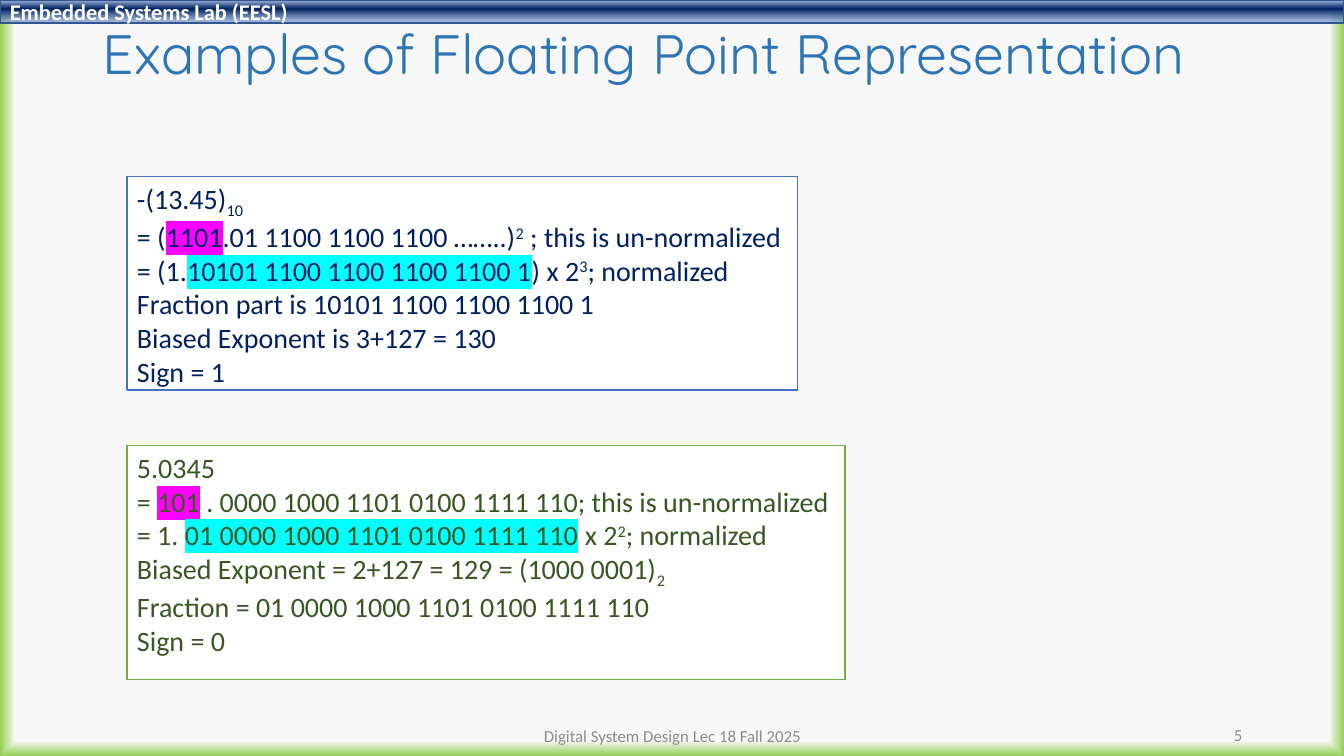
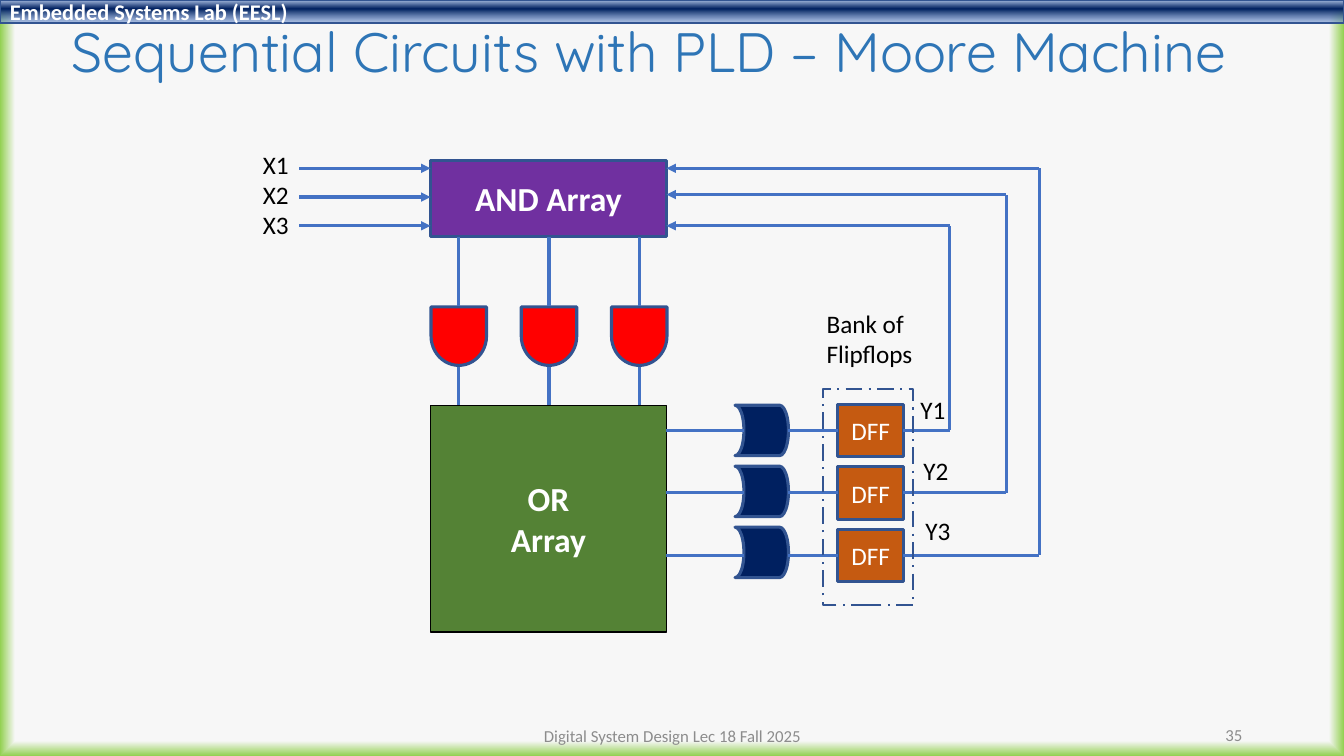
from dataclasses import dataclass
from typing import NamedTuple

from lxml import etree
from pptx import Presentation
from pptx.dml.color import RGBColor
from pptx.enum.dml import MSO_LINE
from pptx.enum.shapes import MSO_CONNECTOR, MSO_SHAPE
from pptx.enum.text import MSO_ANCHOR, MSO_AUTO_SIZE, PP_ALIGN
from pptx.oxml.ns import qn
from pptx.util import Inches, Pt

RECT = MSO_SHAPE.RECTANGLE
AND_GATE = MSO_SHAPE.FLOWCHART_DELAY
OR_GATE = MSO_SHAPE.FLOWCHART_STORED_DATA
STRAIGHT = MSO_CONNECTOR.STRAIGHT
DASH_DOT = MSO_LINE.LONG_DASH_DOT
LEFT, CENTER, RIGHT = PP_ALIGN.LEFT, PP_ALIGN.CENTER, PP_ALIGN.RIGHT
TOP, MIDDLE = MSO_ANCHOR.TOP, MSO_ANCHOR.MIDDLE


@dataclass(frozen=True)
class Theme:
    body_font: str = "Calibri"
    title_font: str = "Quicksand"
    title: str = "2E75B6"
    footer: str = "8C8C8C"
    white: str = "FFFFFF"
    black: str = "000000"
    navy: str = "002060"
    dark_green: str = "385723"
    blue: str = "4472C4"
    outline: str = "325491"
    green: str = "70AD47"
    purple: str = "7030A0"
    red: str = "FF0000"
    or_green: str = "548235"
    orange: str = "C55A11"
    magenta: str = "FF00FF"
    cyan: str = "00FFFF"
    title_size: float = 39.6
    block_size: float = 24
    example_size: float = 20
    label_size: float = 18
    header_size: float = 16
    footer_size: float = 12
    wire: float = 2.25
    bank: float = 1.5
    thin: float = 1


T = Theme()


class Box(NamedTuple):
    left: float
    top: float
    width: float
    height: float


class Stop(NamedTuple):
    pos: int
    color: str
    alpha: int = 100


class Span(NamedTuple):
    text: str
    base: int = 0
    mark: str = ""


class Style(NamedTuple):
    size: float
    color: str
    bold: bool = False
    font: str = T.body_font
    align: PP_ALIGN = LEFT
    anchor: MSO_ANCHOR = TOP


@dataclass(frozen=True)
class Example:
    box: Box
    color: str
    border: str
    lines: list[list[Span]]


@dataclass(frozen=True)
class Feedback:
    label: str
    label_left: float
    label_top: float
    turn_x: float
    entry_y: float


TITLE = Style(T.title_size, T.title, font=T.title_font, anchor=MIDDLE)
HEADER = Style(T.header_size, T.white, True, anchor=MIDDLE)
BLOCK = Style(T.block_size, T.white, True, align=CENTER, anchor=MIDDLE)
FLIPFLOP = Style(T.label_size, T.white, align=CENTER, anchor=MIDDLE)
LABEL = Style(T.label_size, T.black)
FOOTER = Style(T.footer_size, T.footer, align=CENTER, anchor=MIDDLE)
PAGE = FOOTER._replace(align=RIGHT)

EXAMPLES = [
    Example(Box(1.26, 1.75, 6.65, 2.12), T.navy, T.blue, [
        [Span("-(13.45)"), Span("10", -25)],
        [Span("= ("), Span("1101", mark=T.magenta), Span(".01 1100 1100 1100 ……..)"),
         Span("2", 30), Span(" ; this is un-normalized")],
        [Span("= (1."), Span("10101 1100 1100 1100 1100 1", mark=T.cyan),
         Span(") x 2"), Span("3", 30), Span("; normalized")],
        [Span("Fraction part is 10101 1100 1100 1100 1")],
        [Span("Biased Exponent is 3+127 = 130")],
        [Span("Sign = 1")],
    ]),
    Example(Box(1.26, 4.42, 7.12, 2.32), T.dark_green, T.green, [
        [Span("5.0345")],
        [Span("= "), Span("101", mark=T.magenta),
         Span(" . 0000 1000 1101 0100 1111 110; this is un-normalized")],
        [Span("= 1. "), Span("01 0000 1000 1101 0100 1111 110", mark=T.cyan),
         Span(" x 2"), Span("2", 30), Span("; normalized")],
        [Span("Biased Exponent = 2+127 = 129 = (1000 0001)"), Span("2", -25)],
        [Span("Fraction = 01 0000 1000 1101 0100 1111 110")],
        [Span("Sign = 0")],
    ]),
]

FEEDBACKS = [
    Feedback("Y1", 9.03, 3.86, 9.42, 2.24),
    Feedback("Y2", 9.06, 4.47, 9.98, 1.93),
    Feedback("Y3", 9.08, 5.06, 10.31, 1.67),
]


def rgb(color: str) -> RGBColor:
    return RGBColor.from_string(color)


def emu(box: Box) -> list:
    return [Inches(v) for v in box]


def add_color(parent, color: str, alpha: int = 100) -> None:
    clr = etree.SubElement(parent, qn("a:srgbClr"), val=color)
    if alpha < 100:
        etree.SubElement(clr, qn("a:alpha"), val=str(alpha * 1000))


def set_gradient(fill, owner, stops: list[Stop], angle: int | None = None) -> None:
    fill.gradient()
    grad = owner.find(".//" + qn("a:gradFill"))
    for child in list(grad):
        grad.remove(child)
    gs_list = etree.SubElement(grad, qn("a:gsLst"))
    for stop in stops:
        gs = etree.SubElement(gs_list, qn("a:gs"), pos=str(stop.pos * 1000))
        add_color(gs, stop.color, stop.alpha)
    if angle is None:
        shade = etree.SubElement(grad, qn("a:path"), path="shape")
        etree.SubElement(shade, qn("a:fillToRect"), dict.fromkeys("ltrb", "50000"))
    else:
        etree.SubElement(grad, qn("a:lin"), ang=str(angle * 60000), scaled="0")


def format_run(r, style: Style) -> None:
    r.font.size = Pt(style.size)
    r.font.bold = style.bold
    r.font.color.rgb = rgb(style.color)
    r.font.name = style.font


def format_text(tf, style: Style) -> None:
    tf.vertical_anchor = style.anchor
    for p in tf.paragraphs:
        p.alignment = style.align
        for r in p.runs:
            format_run(r, style)


def add_label(s, box: Box, text: str, style: Style, wrap: bool = True):
    sp = s.shapes.add_textbox(*emu(box))
    tf = sp.text_frame
    tf.text = text
    tf.word_wrap = wrap
    if not wrap:
        tf.auto_size = MSO_AUTO_SIZE.SHAPE_TO_FIT_TEXT
    format_text(tf, style)
    return sp


def add_block(s, box: Box, fill: str = "", text: str = "", style: Style = BLOCK,
              kind: MSO_SHAPE = RECT, rotation: float = 0,
              border: str = T.outline, width: float = T.wire):
    sp = s.shapes.add_shape(kind, *emu(box))
    sp.shadow.inherit = False
    sp.rotation = rotation
    if fill:
        sp.fill.solid()
        sp.fill.fore_color.rgb = rgb(fill)
    else:
        sp.fill.background()
    sp.line.color.rgb = rgb(border)
    sp.line.width = Pt(width)
    if text:
        sp.text_frame.text = text
        format_text(sp.text_frame, style)
    return sp


def add_wire(s, x1: float, y1: float, x2: float, y2: float, arrow: bool = False) -> None:
    cn = s.shapes.add_connector(STRAIGHT, Inches(x1), Inches(y1), Inches(x2), Inches(y2))
    cn.line.color.rgb = rgb(T.blue)
    cn.line.width = Pt(T.wire)
    if arrow:
        etree.SubElement(cn.element.find(".//" + qn("a:ln")), qn("a:tailEnd"), type="triangle")
    etree.SubElement(cn.element.spPr, qn("a:effectLst"))


def add_slide(prs, title: str, title_box: Box, number: int):
    s = prs.slides.add_slide(prs.slide_layouts[6])
    band = add_block(s, Box(0, 0, 13.33, 0.23), text="Embedded Systems Lab (EESL)",
                     style=HEADER, width=T.thin)
    set_gradient(band.fill, band.element,
                 [Stop(2, "ABC0E4"), Stop(38, T.navy), Stop(93, "7E9ED6", 64)], 90)
    heading = add_label(s, title_box, title, TITLE)
    heading.text_frame.paragraphs[0].line_spacing = 0.9
    add_label(s, Box(9.42, 7.09, 3, 0.4), str(number), PAGE)
    add_label(s, Box(4.42, 7.1, 4.5, 0.4), "Digital System Design Lec 18 Fall 2025", FOOTER)
    return s


def add_example(s, example: Example) -> None:
    style = Style(T.example_size, example.color)
    sp = add_label(s, example.box, "", style, wrap=False)
    sp.fill.solid()
    sp.fill.fore_color.rgb = rgb(T.white)
    sp.line.color.rgb = rgb(example.border)
    sp.line.width = Pt(T.thin)
    tf = sp.text_frame
    for i, line in enumerate(example.lines):
        p = tf.add_paragraph() if i else tf.paragraphs[0]
        for span in line:
            r = p.add_run()
            r.text = span.text
            format_run(r, style)
            props = r.font.fill and r._r.get_or_add_rPr()
            if span.base:
                props.set("baseline", str(span.base * 1000))
            if span.mark:
                mark = etree.Element(qn("a:highlight"))
                add_color(mark, span.mark)
                props.find(qn("a:solidFill")).addnext(mark)


def add_circuit(s) -> None:
    add_block(s, Box(4.27, 1.59, 2.34, 0.76), T.purple, "AND Array")
    add_block(s, Box(4.27, 4.02, 2.34, 2.25), T.or_green, "OR\nArray",
              border=T.black, width=T.thin)
    add_label(s, Box(2.51, 1.43, 0.46, 1.01), "X1\nX2\nX3", LABEL, wrap=False)
    for i, feedback in enumerate(FEEDBACKS):
        input_y = 1.67 + 0.285 * i
        add_wire(s, 2.97, input_y, 4.27, input_y, arrow=True)

        x = 4.55 + 0.895 * i
        add_block(s, Box(x - 0.29, 3.06, 0.58, 0.55), T.red, kind=AND_GATE, rotation=90)
        add_wire(s, x, 2.35, x, 3.04)
        add_wire(s, x, 3.64, x, 4.02)

        y = 4.27 + 0.62 * i
        add_block(s, Box(7.29, 4.02 + 0.605 * i, 0.53, 0.5), T.navy, kind=OR_GATE, rotation=180)
        add_block(s, Box(8.31, y - 0.26, 0.65, 0.52), T.orange, "DFF", FLIPFLOP)
        add_wire(s, 6.61, y, 7.38, y)
        add_wire(s, 7.82, y, 8.31, y)

        turn, entry = feedback.turn_x, feedback.entry_y
        add_wire(s, 8.96, y, turn, y)
        add_wire(s, turn, y, turn, entry)
        add_wire(s, turn, entry, 6.61, entry, arrow=True)
        add_label(s, Box(feedback.label_left, feedback.label_top, 0.45, 0.4),
                  feedback.label, LABEL, wrap=False)
    bank = add_block(s, Box(8.16, 3.86, 0.9, 2.14), width=T.bank)
    bank.line.dash_style = DASH_DOT
    add_label(s, Box(8.1, 3.01, 1.15, 0.71), "Bank of\nFlipflops", LABEL)


def main() -> None:
    prs = Presentation()
    prs.slide_width, prs.slide_height = Inches(13.33), Inches(7.5)
    master = prs.slide_master
    set_gradient(master.background.fill, master.element,
                 [Stop(96, "F7F7F7", 0), Stop(100, "92D050")])

    s = add_slide(prs, "Examples of Floating Point Representation",
                  Box(0.92, 0.15, 12.18, 0.82), 5)
    for example in EXAMPLES:
        add_example(s, example)

    s = add_slide(prs, "Sequential Circuits with PLD – Moore Machine",
                  Box(0.61, 0.17, 12.73, 0.74), 35)
    add_circuit(s)
    prs.save("out.pptx")


if __name__ == "__main__":
    main()
